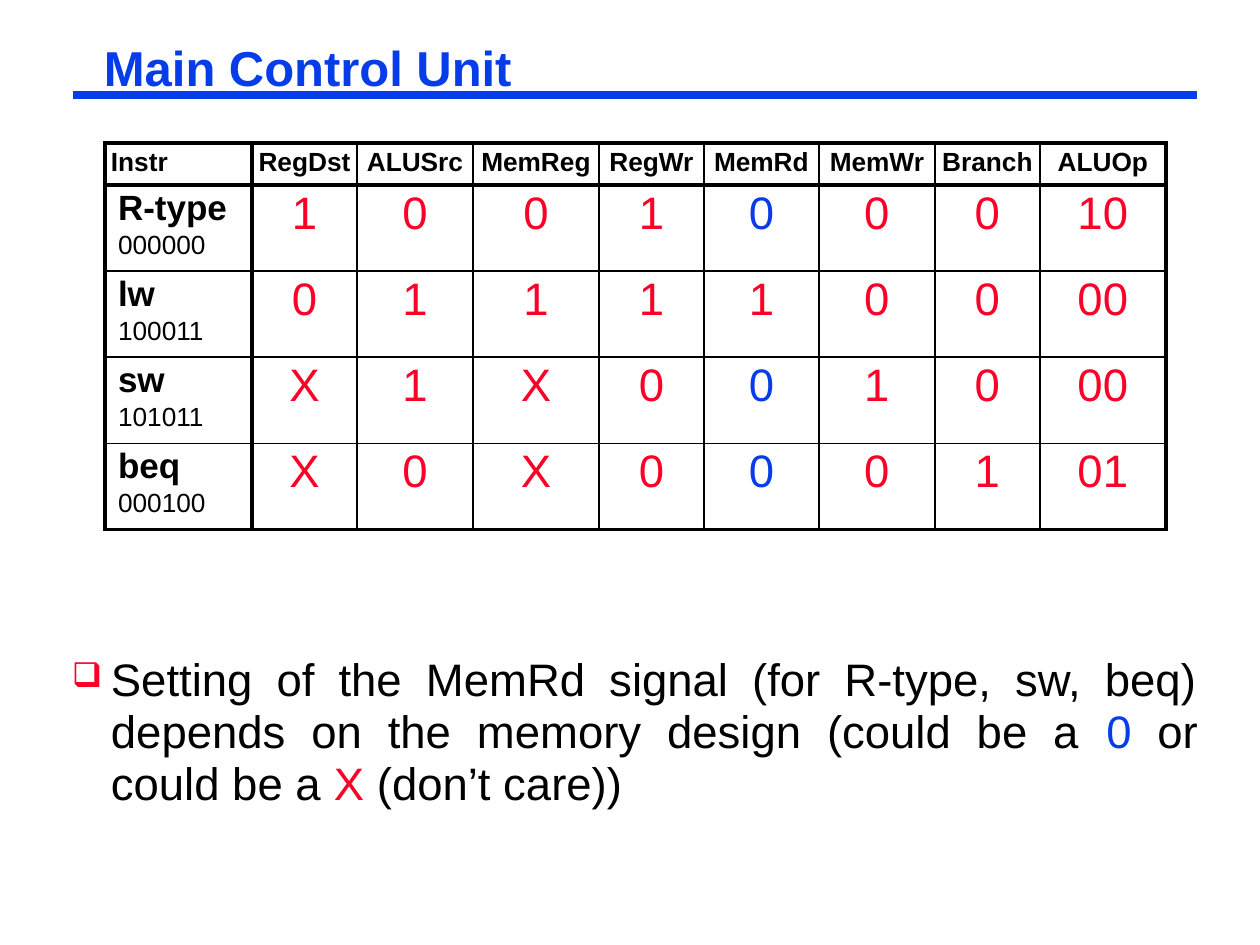
from lxml import etree
from pptx import Presentation
from pptx.dml.color import RGBColor as RGB
from pptx.enum.shapes import MSO_CONNECTOR as CONN
from pptx.enum.text import PP_ALIGN as AL
from pptx.oxml.ns import qn
from pptx.util import Pt

PX = 914400 / 126
COLORS = {"blue": "063DE8", "red": "FC0128", "black": "000000"}


def px(n):
    return round(n * PX)


def add_run(p, text, size, color="black", bold=False):
    f = p.add_run().font
    p.runs[-1].text = text
    fmt = {"name": "Arial", "size": Pt(size), "bold": bold}
    for key, value in fmt.items():
        setattr(f, key, value)
    f.color.rgb = RGB.from_string(COLORS[color])


prs = Presentation()
prs.slide_width, prs.slide_height = px(1260), px(945)
s = prs.slides.add_slide(prs.slide_layouts[6])

# Rule under the title
rule = s.shapes.add_connector(CONN.STRAIGHT, px(73), px(95), px(1197), px(95))
rule.line.width = Pt(4.5)
rule.line.color.rgb = RGB.from_string(COLORS["blue"])
etree.SubElement(rule._element.spPr, qn("a:effectLst"))

# Title and note boxes
frames = []
for box in [(95, 42, 1012, 58), (63, 651, 1144, 164)]:
    tf = s.shapes.add_textbox(*map(px, box)).text_frame
    margins = {"margin_left": 9, "margin_right": 9, "margin_top": 4, "margin_bottom": 4}
    for key, value in margins.items():
        setattr(tf, key, px(value))
    tf.word_wrap = True
    frames.append(tf)
title, note = [tf.paragraphs[0] for tf in frames]

title.line_spacing = 0.87
add_run(title, "Main Control Unit", 28, "blue", True)

# Note with a hanging bullet
note.alignment, note.line_spacing = AL.JUSTIFY, 0.95
pPr = note._p.get_or_add_pPr()
pPr.set("marL", str(px(39)))
pPr.set("indent", str(-px(39)))
clr = etree.SubElement(pPr, qn("a:buClr"))
etree.SubElement(clr, qn("a:srgbClr"), val=COLORS["red"])
etree.SubElement(pPr, qn("a:buSzPct"), val="75000")
etree.SubElement(pPr, qn("a:buChar"), char="❑")
for text, color in [
    ("Setting of the MemRd signal (for R-type, sw, beq) depends on "
     "the memory design (could be a ", "black"),
    ("0", "blue"),
    (" or could be a ", "black"),
    ("X", "red"),
    (" (don’t care))", "black"),
]:
    add_run(note, text, 26, color)

# Control signal table
HEADER = ["Instr", "RegDst", "ALUSrc", "MemReg", "RegWr", "MemRd", "MemWr", "Branch", "ALUOp"]
ROWS = [
    [("R-type", "000000"), "1", "0", "0", "1", "0", "0", "0", "10"],
    [("lw", "100011"), "0", "1", "1", "1", "1", "0", "0", "00"],
    [("sw", "101011"), "X", "1", "X", "0", "0", "1", "0", "00"],
    [("beq", "000100"), "X", "0", "X", "0", "0", "0", "1", "01"],
]
WIDTHS = [147, 105, 116, 126, 105, 115, 116, 105, 126]
HEIGHTS = [41] + [84] * len(ROWS)
n_rows, n_cols = len(HEIGHTS), len(WIDTHS)
table = s.shapes.add_table(n_rows, n_cols, px(105), px(143),
                           px(sum(WIDTHS)), px(sum(HEIGHTS))).table
table.first_row = table.horz_banding = False
for col, w in zip(table.columns, WIDTHS):
    col.width = px(w)
for row, h in zip(table.rows, HEIGHTS):
    row.height = px(h)

for i, values in enumerate([HEADER] + ROWS):
    for j, value in enumerate(values):
        cell = table.cell(i, j)
        cell.fill.background()
        side = 6 if i == 0 else 13
        margins = {"margin_left": side, "margin_right": side, "margin_top": 6, "margin_bottom": 6}
        for key, margin in margins.items():
            setattr(cell, key, px(margin))

        # Text
        p = cell.text_frame.paragraphs[0]
        p.line_spacing = 0.95
        if j > 0:
            p.alignment = AL.CENTER
        if i == 0:
            add_run(p, value, 15, bold=True)
        elif j == 0:
            name, opcode = value
            add_run(p, name, 20, bold=True)
            p = cell.text_frame.add_paragraph()
            p.line_spacing, p.space_before = 0.95, Pt(2.5)
            add_run(p, opcode, 15)
        else:
            dont_care = HEADER[j] == "MemRd" and value == "0"
            add_run(p, value, 26, "blue" if dont_care else "red")

        # Borders: heavy around the table, the header row and the first column
        heavy = {"L": j < 2, "R": j in (0, n_cols - 1), "T": i < 2, "B": i in (0, n_rows - 1)}
        tcPr = cell._tc.get_or_add_tcPr()
        for k, (edge, is_heavy) in enumerate(heavy.items()):
            ln = etree.Element(qn(f"a:ln{edge}"), w=str(Pt(2.25 if is_heavy else 1)))
            fill = etree.SubElement(ln, qn("a:solidFill"))
            etree.SubElement(fill, qn("a:srgbClr"), val=COLORS["black"])
            tcPr.insert(k, ln)

prs.save("out.pptx")
